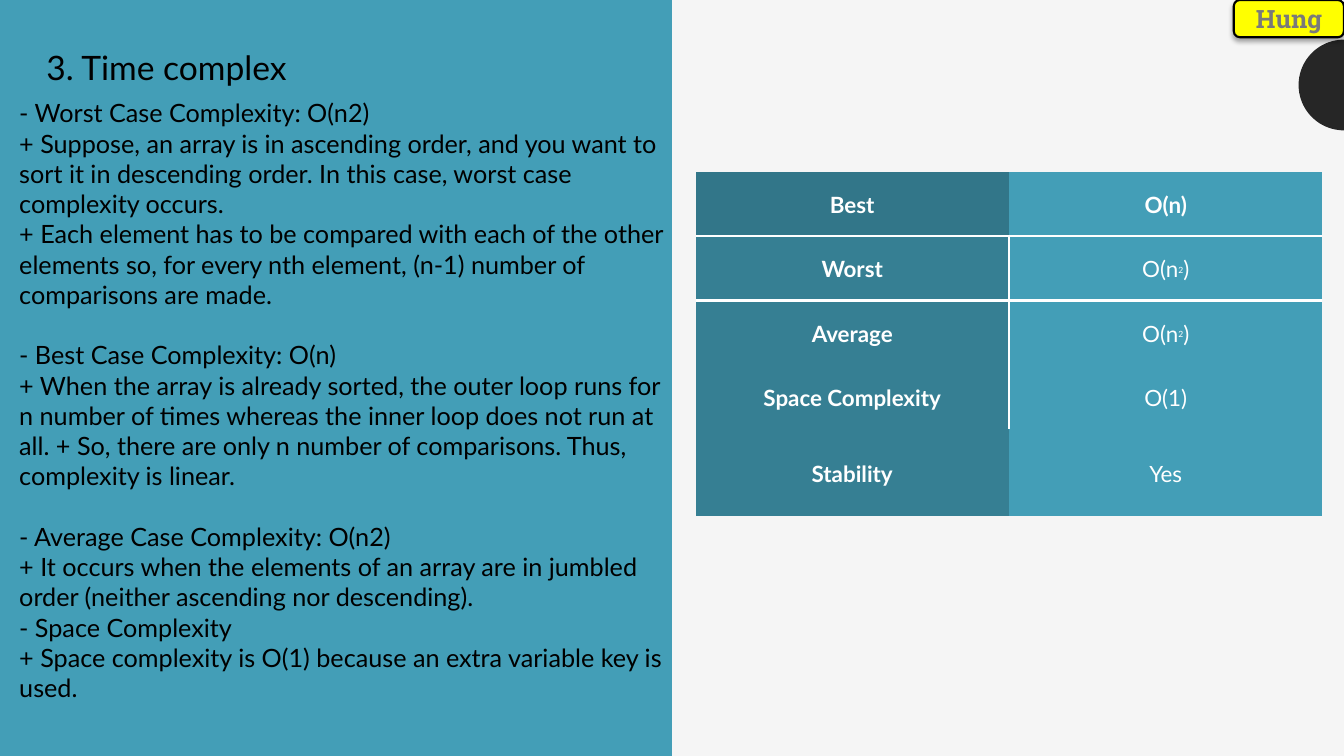
from dataclasses import dataclass
from math import cos, radians, sin

from lxml import etree
from pptx import Presentation
from pptx import util as u
from pptx.dml.color import RGBColor
from pptx.enum import shapes, text
from pptx.oxml import ns

WIDTH, HEIGHT = u.Inches(13.33), u.Inches(7.5)
TEAL, WHITE, BLACK = "439EB7", "FFFFFF", "000000"
NO_STYLE = "{2D5ABB26-0587-4C30-8999-92F81FD0307C}"


@dataclass(frozen=True)
class Box:
    """Hold a frame in percent of the slide's width and height."""
    left: float
    top: float
    width: float
    height: float

    def emu(self) -> tuple[int, int, int, int]:
        """Return left, top, width and height as lengths."""
        return (across(self.left), down(self.top),
                across(self.width), down(self.height))


@dataclass(frozen=True)
class Run:
    """Describe one run of text."""
    words: str
    size: float = 16
    color: str = WHITE
    bold: bool = False
    font: str = "Lato"
    raised: bool = False


@dataclass(frozen=True)
class Row:
    """Describe one table row, its height in percent of the slide."""
    label: str
    value: tuple[Run, ...]
    height: float = 8.53
    fill: str = "367F93"
    divided: bool = True


SQUARE = (Run("O(n"), Run("2", 10.5, raised=True), Run(")"))
ROWS = (
    Row("Best", (Run("O(n)", bold=True),), 8.4, "327689", False),
    Row("Worst", SQUARE),
    Row("Average", SQUARE),
    Row("Space Complexity", (Run("O(1)"),)),
    Row("Stability", (Run("Yes"),), 11.47, divided=False),
)
SECTIONS = (
    ("- Worst Case Complexity: O(n2)",
     "+ Suppose, an array is in ascending order, and you want to sort it in "
     "descending order. In this case, worst case complexity occurs.",
     "+ Each element has to be compared with each of the other elements so, "
     "for every nth element, (n-1) number of comparisons are made."),
    ("- Best Case Complexity: O(n)",
     "+ When the array is already sorted, the outer loop runs for n number of "
     "times whereas the inner loop does not run at all. + So, there are only "
     "n number of comparisons. Thus, complexity is linear."),
    ("- Average Case Complexity: O(n2)",
     "+ It occurs when the elements of an array are in jumbled order "
     "(neither ascending nor descending).",
     "- Space Complexity",
     "+ Space complexity is O(1) because an extra variable key is used."),
)


def across(share: float) -> int:
    """Convert a percentage of the slide's width to a length."""
    return round(WIDTH * share / 100)


def down(share: float) -> int:
    """Convert a percentage of the slide's height to a length."""
    return round(HEIGHT * share / 100)


def paint(fill, color: str) -> None:
    """Fill with a solid hex colour."""
    fill.solid()
    fill.fore_color.rgb = RGBColor.from_string(color)


def add_run(p, run: Run) -> None:
    """Append a formatted run to a paragraph."""
    r = p.add_run()
    r.text = run.words
    r.font.name, r.font.size, r.font.bold = run.font, u.Pt(run.size), run.bold
    r.font.color.rgb = RGBColor.from_string(run.color)
    if run.raised:
        r._r.get_or_add_rPr().set("baseline", "30000")


def place(sp, box: Box):
    """Move a placeholder and return its top-anchored text frame."""
    sp.left, sp.top, sp.width, sp.height = box.emu()
    tf = sp.text_frame
    tf.word_wrap, tf.auto_size = True, text.MSO_AUTO_SIZE.NONE
    tf.vertical_anchor = text.MSO_ANCHOR.TOP
    return tf


def add_body(sp, box: Box) -> None:
    """Write the sections with one line's gap between them."""
    tf = place(sp, box)
    for i, section in enumerate(SECTIONS):
        for j, words in enumerate(section):
            p = tf.add_paragraph() if i or j else tf.paragraphs[0]
            p.space_before = u.Pt(21.6 if i and not j else 0)
            pPr = p._p.get_or_add_pPr()
            pPr.set("marL", "0")
            pPr.set("indent", "0")
            etree.SubElement(pPr, ns.qn("a:buNone"))
            add_run(p, Run(words, 18, BLACK))


def add_panel(s, box: Box) -> None:
    """Lay the teal panel behind the text."""
    sp = s.shapes.add_shape(shapes.MSO_SHAPE.RECTANGLE, *box.emu())
    sp.shadow.inherit = False
    paint(sp.fill, TEAL)
    sp.line.fill.background()
    s.shapes.element.insert(2, sp.element)


def add_half_disc(s, middle: float, radius: float) -> None:
    """Draw the half disc that meets the right edge."""
    points = [(WIDTH + down(radius) * cos(radians(a)),
               down(middle) + down(radius) * sin(radians(a)))
              for a in range(90, 271, 4)]
    points.append((WIDTH, down(middle - radius)))
    builder = s.shapes.build_freeform(*map(round, points[0]))
    builder.add_line_segments([(round(x), round(y)) for x, y in points[1:]])
    sp = builder.convert_to_shape()
    sp.shadow.inherit = False
    paint(sp.fill, "262626")
    sp.line.fill.background()


def add_edge(cell, side: str) -> None:
    """Give a cell a white border on one side."""
    ln = etree.SubElement(cell._tc.get_or_add_tcPr(), ns.qn(f"a:ln{side}"),
                          w=str(u.Pt(2)))
    solid = etree.SubElement(ln, ns.qn("a:solidFill"))
    etree.SubElement(solid, ns.qn("a:srgbClr"), val=WHITE)


def add_complexity_table(s, box: Box) -> None:
    """Add the table of cases and complexities."""
    table = s.shapes.add_table(len(ROWS), 2, *box.emu()).table
    table.first_row = table.horz_banding = False
    table._tbl.tblPr.find(ns.qn("a:tableStyleId")).text = NO_STYLE
    for col in table.columns:
        col.width = across(box.width / 2)
    for i, row in enumerate(ROWS):
        table.rows[i].height = down(row.height)
        columns = (((Run(row.label, bold=True),), row.fill, "R"),
                   (row.value, TEAL, "L"))
        for j, (runs, fill, inner) in enumerate(columns):
            cell = table.cell(i, j)
            if row.divided:
                add_edge(cell, inner)
            if i < 2:
                add_edge(cell, "BT"[i])
            paint(cell.fill, fill)
            cell.margin_left = cell.margin_right = u.Inches(0.24)
            cell.margin_top = cell.margin_bottom = u.Inches(0.12)
            cell.vertical_anchor = text.MSO_ANCHOR.MIDDLE
            p = cell.text_frame.paragraphs[0]
            p.alignment, p.line_spacing = text.PP_ALIGN.CENTER, 1.07
            for run in runs:
                add_run(p, run)


def add_name_tag(s, box: Box, run: Run) -> None:
    """Add the yellow name tag with its soft shadow."""
    sp = s.shapes.add_shape(shapes.MSO_SHAPE.ROUNDED_RECTANGLE, *box.emu())
    paint(sp.fill, "FFFF00")
    paint(sp.line.fill, BLACK)
    sp.line.width = u.Pt(1.5)
    sp.shadow.inherit = False
    effects = sp.element.spPr.find(ns.qn("a:effectLst"))
    shadow = etree.SubElement(effects, ns.qn("a:outerShdw"), dir="5400000",
                              blurRad=str(u.Pt(3.5)), dist=str(u.Pt(2.2)))
    color = etree.SubElement(shadow, ns.qn("a:srgbClr"), val=BLACK)
    etree.SubElement(color, ns.qn("a:alpha"), val="32000")
    sp.text_frame.vertical_anchor = text.MSO_ANCHOR.MIDDLE
    p = sp.text_frame.paragraphs[0]
    p.alignment = text.PP_ALIGN.CENTER
    add_run(p, run)


def main() -> None:
    """Build the slide and save it."""
    prs = Presentation()
    prs.slide_width, prs.slide_height = WIDTH, HEIGHT
    s = prs.slides.add_slide(prs.slide_layouts[1])
    paint(s.background.fill, "F5F5F5")
    add_panel(s, Box(0, 0, 50, 100))
    add_half_disc(s, 11.25, 6)
    p = place(s.shapes.title, Box(2.7, 5.6, 25.88, 6.67)).paragraphs[0]
    p.alignment = text.PP_ALIGN.LEFT
    add_run(p, Run("3. Time complex", 24, BLACK))
    add_complexity_table(s, Box(51.75, 22.8, 46.65, 45.46))
    add_body(s.placeholders[1], Box(0.68, 12.27, 50, 82.13))
    add_name_tag(s, Box(91.8, 0, 8.2, 4.93),
                 Run("Hung", 18, "7A7A7A", True, "Roboto Slab"))
    prs.save("out.pptx")


if __name__ == "__main__":
    main()
